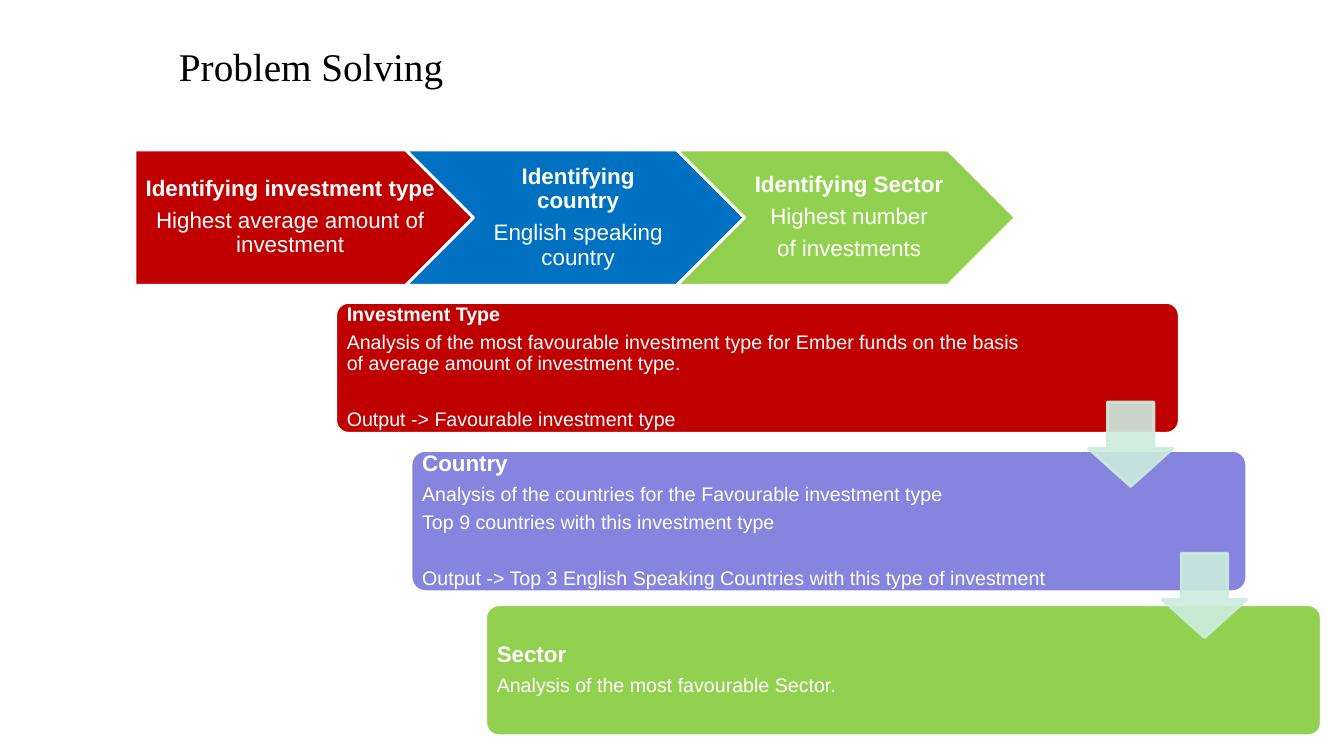
from dataclasses import dataclass

from lxml.etree import SubElement
from pptx import Presentation
from pptx.dml.color import RGBColor
from pptx.enum.shapes import MSO_SHAPE as Preset
from pptx.enum.text import MSO_ANCHOR as Anchor, PP_ALIGN as Align
from pptx.oxml.ns import qn
from pptx.util import Cm, Pt


@dataclass(frozen=True)
class Theme:
    red: str = "C00000"
    blue: str = "0070C0"
    violet: str = "8585E0"
    green: str = "92D050"
    mint: str = "CCECDE"
    white: str = "FFFFFF"
    black: str = "000000"
    title_font: str = "Times New Roman"
    body_font: str = "Arial"
    title_size: int = 28
    large: int = 16
    small: int = 14
    outline: int = 2
    line_spacing: float = 0.9
    paragraph_gap: float = 0.35
    output_gap: int = 20
    arrow_opacity: int = 90


theme = Theme()

TITLE = "Problem Solving"
STEPS = [
    (Preset.PENTAGON, theme.red,
     ["Identifying investment type", "Highest average amount of investment"]),
    (Preset.CHEVRON, theme.blue,
     ["Identifying country", "English speaking country"]),
    (Preset.CHEVRON, theme.green,
     ["Identifying Sector", "Highest number", "of investments"]),
]
PANELS = [
    (theme.red, theme.small, (8.46, 7.62, 21.26, 3.3), 17.65,
     ["Investment Type",
      "Analysis of the most favourable investment type for Ember funds "
      "on the basis of average amount of investment type.",
      "Output -> Favourable investment type"]),
    (theme.violet, theme.large, (10.36, 11.35, 21.06, 3.56), 16.84,
     ["Country",
      "Analysis of the countries for the Favourable investment type",
      "Top 9 countries with this investment type",
      "Output -> Top 3 English Speaking Countries with this type of investment"]),
    (theme.green, theme.large, (12.24, 15.24, 21.06, 3.3), 16.87,
     ["Sector", "Analysis of the most favourable Sector."]),
]
ARROWS = [(27.43, 10.13), (29.29, 13.94)]

STEP_LEFT, STEP_TOP, STEP_WIDTH, STEP_HEIGHT = 3.4, 3.78, 8.53, 3.41
STEP_PITCH = 6.83
POINT = STEP_HEIGHT / 2
PANEL_INSET = 0.11
ARROW_SIZE = 2.13


def add_block(slide, preset, box, color, outline, adjustments=()):
    block = slide.shapes.add_shape(preset, *map(Cm, box))
    block.shadow.inherit = False
    for index, value in enumerate(adjustments):
        block.adjustments[index] = value
    block.fill.solid()
    block.fill.fore_color.rgb = RGBColor.from_string(color)
    block.line.color.rgb = RGBColor.from_string(outline)
    block.line.width = Pt(theme.outline)
    return block


def format_runs(paragraph, font, size, color, bold=False):
    for run in paragraph.runs:
        run.font.name = font
        run.font.size = Pt(size)
        run.font.bold = bold
        run.font.color.rgb = RGBColor.from_string(color)


def set_margins(frame, left, top, right, bottom):
    frame.margin_left, frame.margin_top = Cm(left), Cm(top)
    frame.margin_right, frame.margin_bottom = Cm(right), Cm(bottom)


def add_lines(slide, box, lines, heading_size, body_size, align, margins):
    frame = slide.shapes.add_textbox(*map(Cm, box)).text_frame
    frame.word_wrap = True
    frame.vertical_anchor = Anchor.MIDDLE
    set_margins(frame, *margins)
    frame.text = "\n".join(lines)
    for index, paragraph in enumerate(frame.paragraphs):
        size = body_size if index else heading_size
        paragraph.alignment = align
        paragraph.line_spacing = theme.line_spacing
        paragraph.space_after = Pt(size * theme.paragraph_gap)
        if paragraph.text.startswith("Output"):
            paragraph.space_before = Pt(theme.output_gap)
        format_runs(paragraph, theme.body_font, size, theme.white, index == 0)


def add_title(slide):
    title = slide.shapes.title
    title.left, title.top, title.width, title.height = map(Cm, (4.01, 1.07, 25.88, 2.39))
    frame = title.text_frame
    frame.text = TITLE
    frame.vertical_anchor = Anchor.TOP
    set_margins(frame, 0.5, 0.13, 0.25, 0.13)
    paragraph = frame.paragraphs[0]
    paragraph.alignment = Align.LEFT
    paragraph.line_spacing = theme.line_spacing
    format_runs(paragraph, theme.title_font, theme.title_size, theme.black)


def add_steps(slide):
    for index, (preset, color, lines) in enumerate(STEPS):
        left = STEP_LEFT + index * STEP_PITCH
        notch = POINT if index else 0
        add_block(slide, preset, (left, STEP_TOP, STEP_WIDTH, STEP_HEIGHT), color, theme.white)
        text_width = STEP_WIDTH - 2 * POINT if index else STEP_WIDTH - POINT / 2
        add_lines(slide, (left + notch, STEP_TOP, text_width, STEP_HEIGHT), lines,
                  theme.large, theme.large, Align.CENTER, (0.2, 0.13, 0.05, 0.13))


def add_panels(slide):
    for color, heading_size, box, text_width, lines in PANELS:
        left, top, width, height = box
        add_block(slide, Preset.ROUNDED_RECTANGLE, box, color, theme.white, [0.1])
        text_box = (left + PANEL_INSET, top + PANEL_INSET, text_width, height - 2 * PANEL_INSET)
        add_lines(slide, text_box, lines, heading_size, theme.small, Align.LEFT, [0.17] * 4)


def add_arrows(slide):
    for left, top in ARROWS:
        arrow = add_block(slide, Preset.DOWN_ARROW, (left, top, ARROW_SIZE, ARROW_SIZE),
                          theme.mint, theme.mint, (0.55, 0.45))
        for color in arrow.element.spPr.iter(qn("a:srgbClr")):
            SubElement(color, qn("a:alpha"), val=str(theme.arrow_opacity * 1000))


def main():
    deck = Presentation()
    deck.slide_width, deck.slide_height = Cm(33.87), Cm(19.05)
    slide = deck.slides.add_slide(deck.slide_layouts[5])
    add_title(slide)
    add_steps(slide)
    add_panels(slide)
    add_arrows(slide)
    deck.save("out.pptx")


if __name__ == "__main__":
    main()
